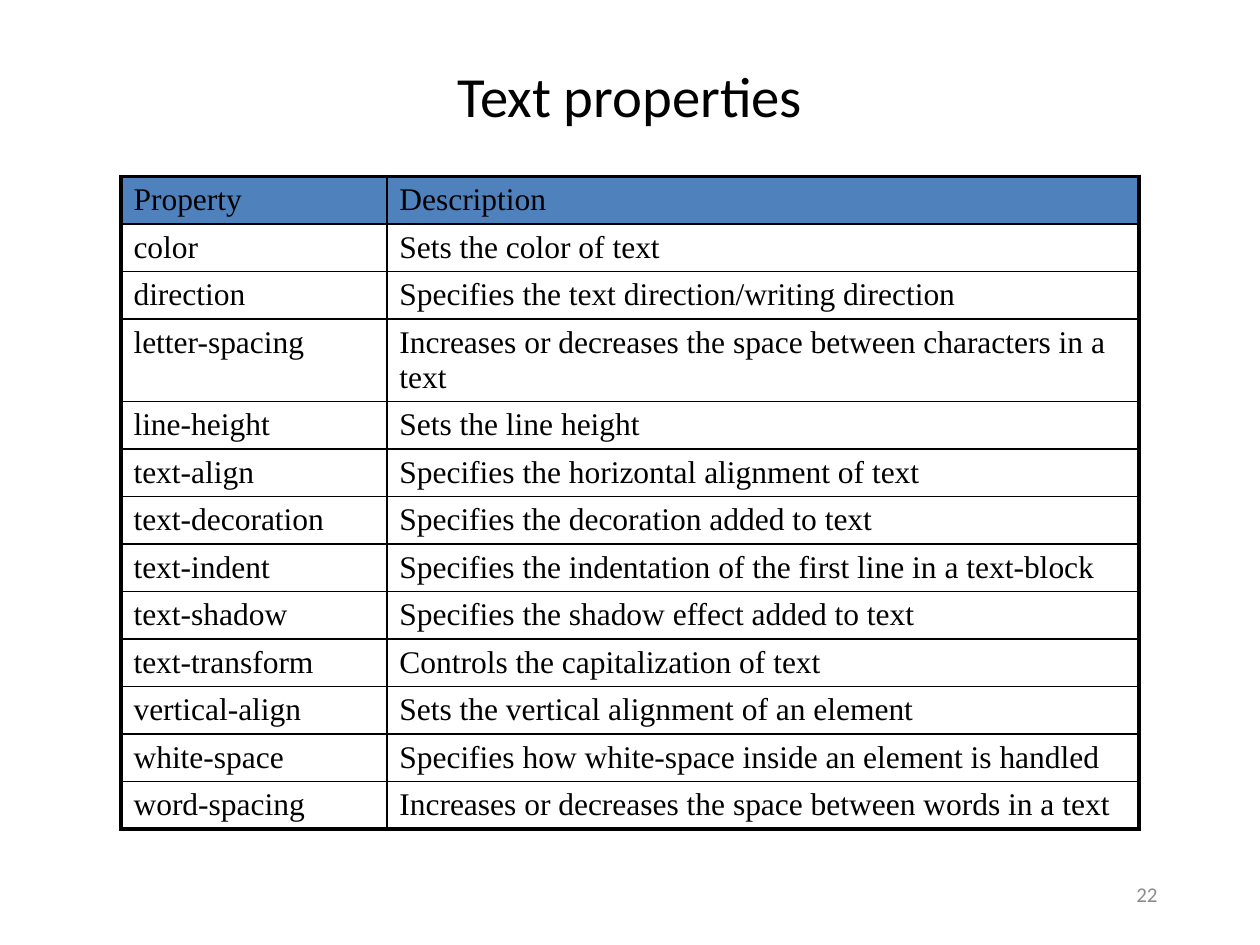
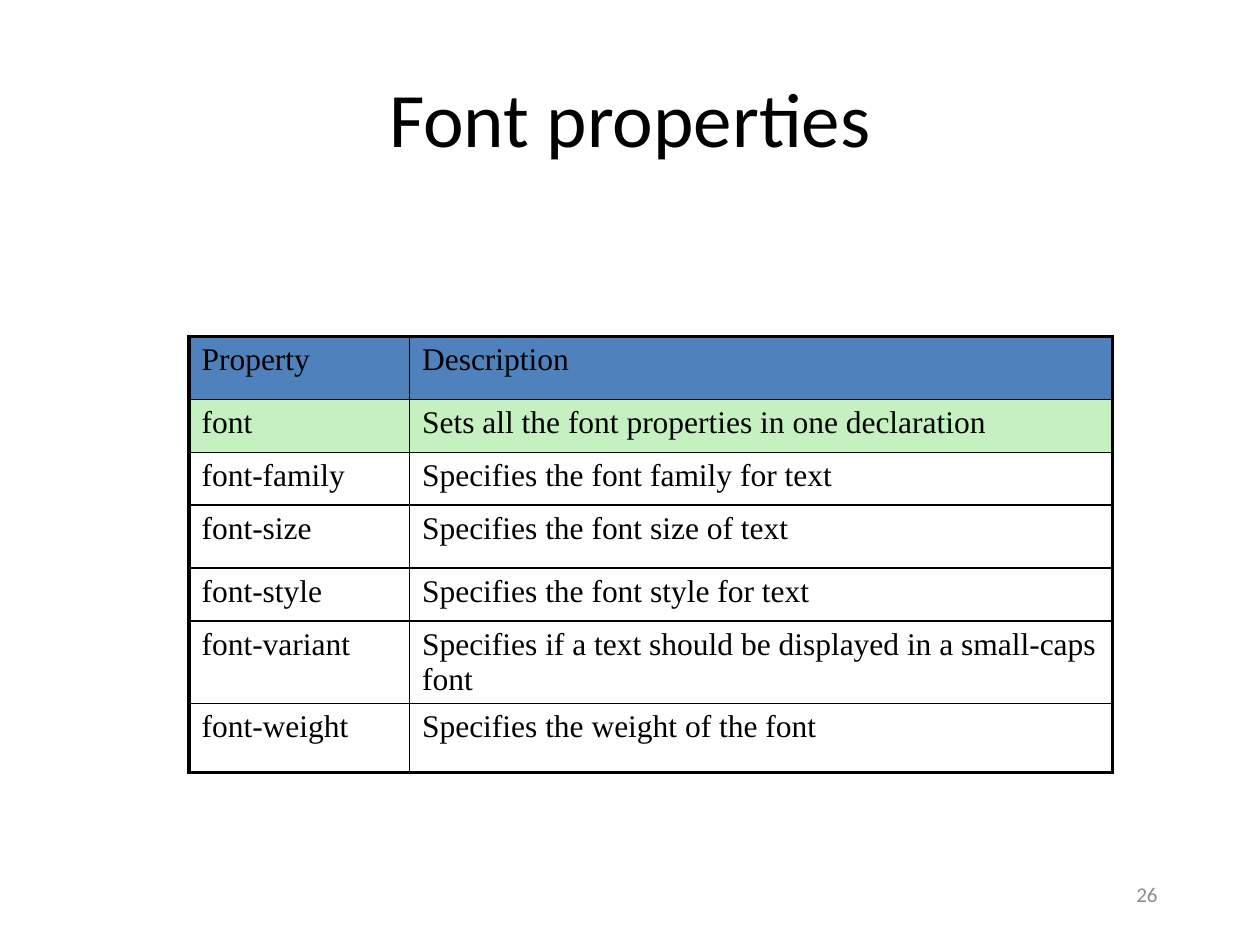
from dataclasses import dataclass

from lxml import etree
from pptx import Presentation
from pptx.dml.color import RGBColor
from pptx.enum.text import MSO_ANCHOR, MSO_AUTO_SIZE, PP_ALIGN
from pptx.oxml.ns import qn
from pptx.util import Inches, Pt

BLACK = "000000"
GREY = "8C8C8C"
HEADER_BLUE = "4F81BD"
HIGHLIGHT_GREEN = "C5F0C0"
TITLE_FONT = "Calibri"
TABLE_FONT = "Times New Roman"
OUTER_LINE = 2.25
INNER_LINE = 1
TITLE_ONLY_LAYOUT = 5
HEADER = ("Property", "Description")


@dataclass(frozen=True)
class Box:
    left: float
    top: float
    width: float
    height: float

    def lengths(self) -> tuple:
        return tuple(Inches(v) for v in (self.left, self.top, self.width, self.height))


@dataclass(frozen=True)
class PropertySlide:
    title: str
    title_box: Box
    title_size: float
    table_left: float
    table_top: float
    column_widths: tuple
    row_heights: tuple
    properties: tuple
    row_fills: dict
    number: str


NUMBER_BOX = Box(8.92, 6.9, 0.58, 0.4)

TEXT_PROPERTIES = (
    ("color", "Sets the color of text"),
    ("direction", "Specifies the text direction/writing direction"),
    ("letter-spacing", "Increases or decreases the space between characters in a text"),
    ("line-height", "Sets the line height"),
    ("text-align", "Specifies the horizontal alignment of text"),
    ("text-decoration", "Specifies the decoration added to text"),
    ("text-indent", "Specifies the indentation of the first line in a text-block"),
    ("text-shadow", "Specifies the shadow effect added to text"),
    ("text-transform", "Controls the capitalization of text"),
    ("vertical-align", "Sets the vertical alignment of an element"),
    ("white-space", "Specifies how white-space inside an element is handled"),
    ("word-spacing", "Increases or decreases the space between words in a text"),
)

FONT_PROPERTIES = (
    ("font", "Sets all the font properties in one declaration"),
    ("font-family", "Specifies the font family for text"),
    ("font-size", "Specifies the font size of text"),
    ("font-style", "Specifies the font style for text"),
    ("font-variant", "Specifies if a text should be displayed in a small-caps font"),
    ("font-weight", "Specifies the weight of the font"),
)

SLIDES = (
    PropertySlide(
        "Text properties", Box(0.74, 0.41, 8.52, 0.68), 32.4,
        0.96, 1.4, (2.11, 5.97), (0.34,) * (len(TEXT_PROPERTIES) + 1),
        TEXT_PROPERTIES, {0: HEADER_BLUE}, "22",
    ),
    PropertySlide(
        "Font properties", Box(0.5, 0.3, 9, 1.25), 44,
        1.5, 2.67, (1.75, 5.58), (0.5, 0.42, 0.42, 0.5, 0.42, 0.64, 0.55),
        FONT_PROPERTIES, {0: HEADER_BLUE, 1: HIGHLIGHT_GREEN}, "26",
    ),
)


def rgb(color: str) -> RGBColor:
    return RGBColor.from_string(color)


def add_run(paragraph, text: str, font_name: str, size: float, color: str = BLACK) -> None:
    run = paragraph.add_run()
    run.text = text
    run.font.name = font_name
    run.font.size = Pt(size)
    run.font.color.rgb = rgb(color)


def set_borders(cell, widths: dict) -> None:
    """Draw solid black cell borders; widths maps L, R, T, B, in that order, to points."""
    properties = cell._tc.get_or_add_tcPr()
    for index, (side, width) in enumerate(widths.items()):
        line = etree.Element(qn(f"a:ln{side}"), w=str(Pt(width)))
        fill = etree.SubElement(line, qn("a:solidFill"))
        etree.SubElement(fill, qn("a:srgbClr"), val=BLACK)
        properties.insert(index, line)


def add_title(slide, content: PropertySlide) -> None:
    title = slide.shapes.title
    title.left, title.top, title.width, title.height = content.title_box.lengths()
    frame = title.text_frame
    frame.auto_size = MSO_AUTO_SIZE.NONE
    frame.vertical_anchor = MSO_ANCHOR.MIDDLE
    paragraph = frame.paragraphs[0]
    paragraph.alignment = PP_ALIGN.CENTER
    add_run(paragraph, content.title, TITLE_FONT, content.title_size)


def add_property_table(slide, content: PropertySlide) -> None:
    rows = (HEADER, *content.properties)
    box = Box(content.table_left, content.table_top,
              sum(content.column_widths), sum(content.row_heights))
    table = slide.shapes.add_table(len(rows), len(HEADER), *box.lengths()).table
    table.first_row = table.horz_banding = False
    for column, width in zip(table.columns, content.column_widths):
        column.width = Inches(width)
    for row, height in zip(table.rows, content.row_heights):
        row.height = Inches(height)

    last_row, last_column = len(rows) - 1, len(HEADER) - 1
    for row_index, texts in enumerate(rows):
        for column_index, text in enumerate(texts):
            cell = table.cell(row_index, column_index)
            add_run(cell.text_frame.paragraphs[0], text, TABLE_FONT, 18)
            if row_index in content.row_fills:
                cell.fill.solid()
                cell.fill.fore_color.rgb = rgb(content.row_fills[row_index])
            else:
                cell.fill.background()
            on_edge = {
                "L": column_index == 0,
                "R": column_index == last_column,
                "T": row_index == 0,
                "B": row_index == last_row,
            }
            set_borders(cell, {side: OUTER_LINE if outer else INNER_LINE
                               for side, outer in on_edge.items()})


def add_slide_number(slide, number: str) -> None:
    frame = slide.shapes.add_textbox(*NUMBER_BOX.lengths()).text_frame
    frame.word_wrap = True
    frame.vertical_anchor = MSO_ANCHOR.MIDDLE
    add_run(frame.paragraphs[0], number, TITLE_FONT, 12, GREY)


def main() -> None:
    presentation = Presentation()
    presentation.slide_width = Inches(10)
    presentation.slide_height = Inches(7.5)
    for content in SLIDES:
        slide = presentation.slides.add_slide(presentation.slide_layouts[TITLE_ONLY_LAYOUT])
        add_title(slide, content)
        add_property_table(slide, content)
        add_slide_number(slide, content.number)
    presentation.save("out.pptx")


if __name__ == "__main__":
    main()
